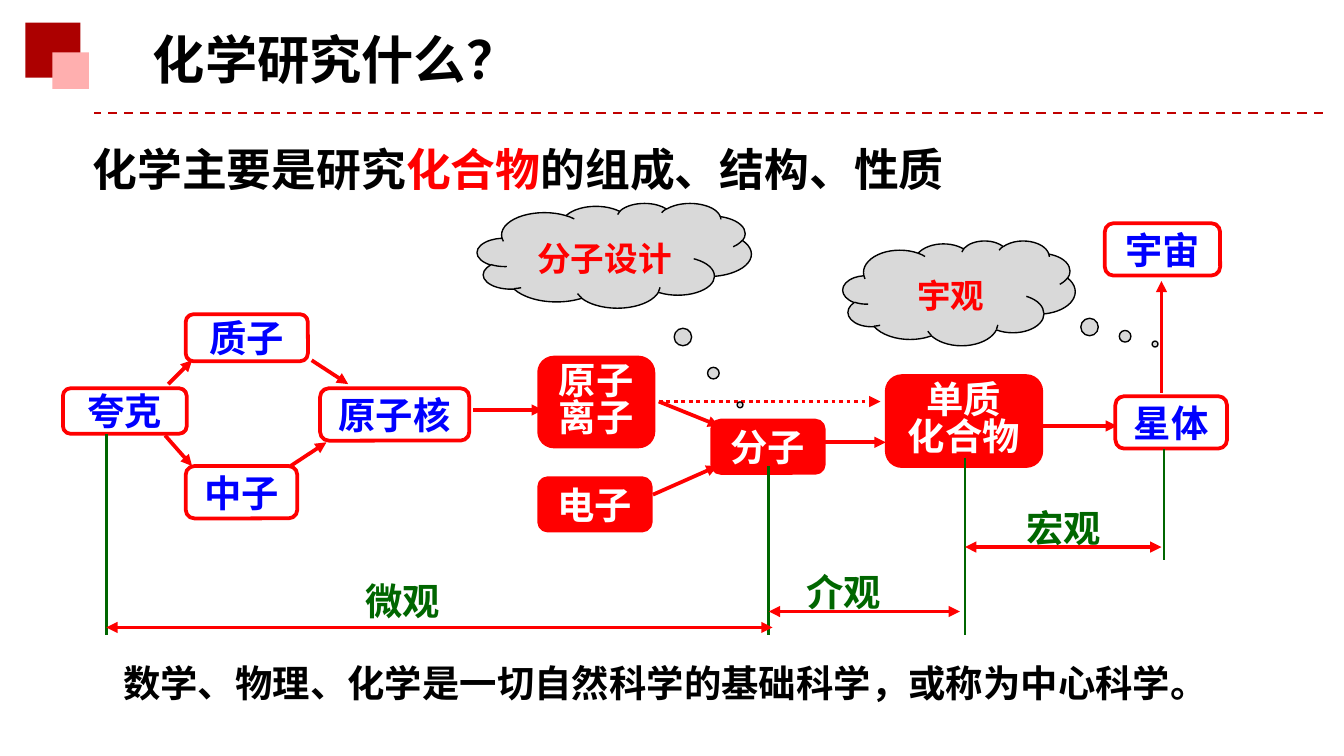
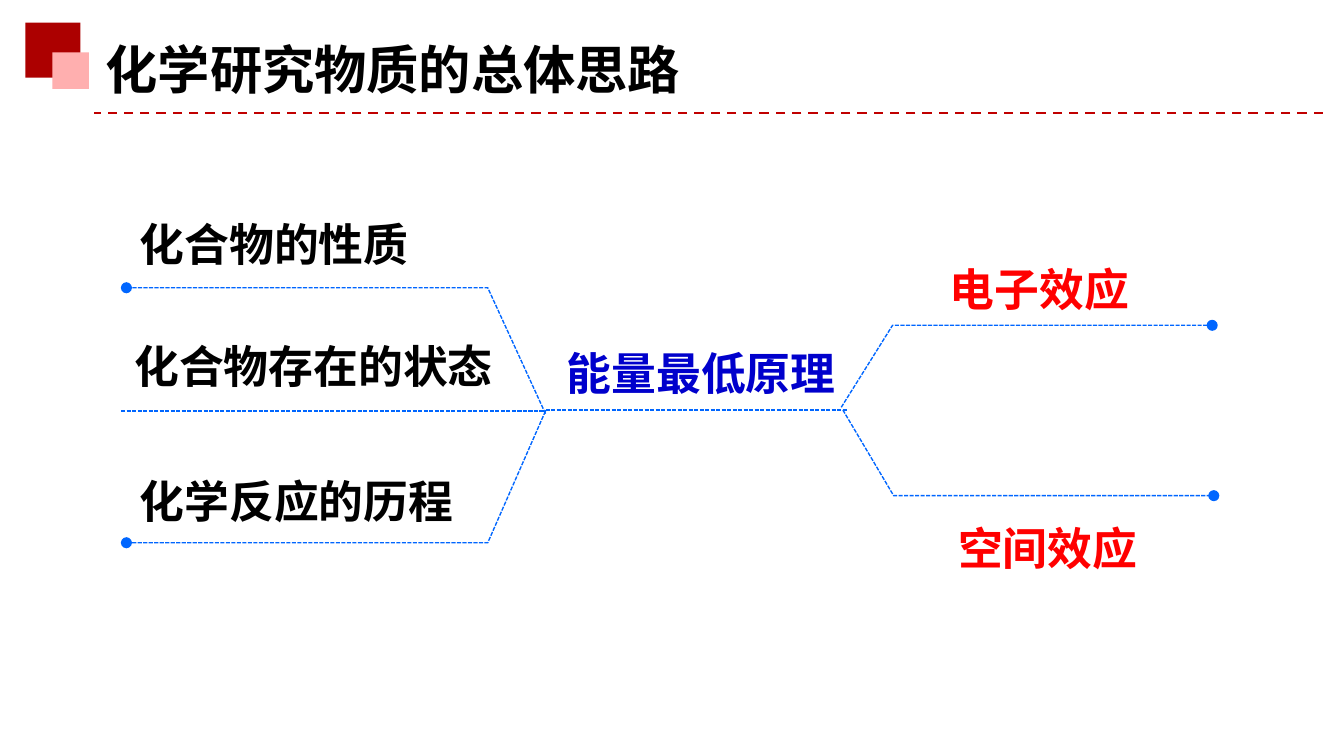
from dataclasses import dataclass

from lxml import etree
from pptx import Presentation
from pptx import util as u
from pptx.dml.color import RGBColor
from pptx.enum import dml, shapes, text
from pptx.oxml import ns

# Shared look
FONT = "Noto Sans CJK SC"
BLACK = RGBColor(0x00, 0x00, 0x00)
WHITE = RGBColor(0xFF, 0xFF, 0xFF)
RED = RGBColor(0xFF, 0x00, 0x00)
BLUE = RGBColor(0x00, 0x00, 0xFF)
DEEP_BLUE = RGBColor(0x00, 0x00, 0xCC)
LINE_BLUE = RGBColor(0x00, 0x66, 0xFF)
GREEN = RGBColor(0x00, 0x66, 0x00)
GRAY = RGBColor(0xD9, 0xD9, 0xD9)
DARK_RED = RGBColor(0xAC, 0x00, 0x00)
PINK = RGBColor(0xFF, 0xAF, 0xAF)
RULE_RED = RGBColor(0xC0, 0x00, 0x00)

SHAPE = shapes.MSO_SHAPE
DASH = dml.MSO_LINE
ALIGN = text.PP_ALIGN
ANCHOR = text.MSO_ANCHOR


@dataclass
class Box:
    """An area of the slide, in centimetres."""
    left: float
    top: float
    width: float
    height: float

    def inner(self, left, top, width, height):
        return Box(self.left + left, self.top + top, width, height)

    def point(self, x, y):
        return u.Cm(self.left + x), u.Cm(self.top + y)

    def lengths(self):
        return [u.Cm(value) for value in
                (self.left, self.top, self.width, self.height)]


def set_values(target, values):
    for name, value in values.items():
        setattr(target, name, value)


# Basic parts
def write(frame, paragraphs, size, anchor=ANCHOR.MIDDLE, align=ALIGN.LEFT,
          spacing=1.0):
    """Each paragraph is a list of (text, colour) runs."""
    set_values(frame, {"word_wrap": True, "vertical_anchor": anchor})
    for index, runs in enumerate(paragraphs):
        paragraph = frame.paragraphs[0] if index == 0 else frame.add_paragraph()
        set_values(paragraph, {"alignment": align, "line_spacing": spacing})
        for words, color in runs:
            run = paragraph.add_run()
            run.text = words
            set_values(run.font, {"name": FONT, "size": u.Pt(size), "bold": True})
            run.font.color.rgb = color
            etree.SubElement(run.font._element, ns.qn("a:ea"), typeface=FONT)


def add_label(slide, box, runs, size, **layout):
    frame = slide.shapes.add_textbox(*box.lengths()).text_frame
    frame.margin_right = 0
    write(frame, [runs], size, **layout)


def add_filled(slide, kind, box, fill, line_color=None, line_width=0):
    shape = slide.shapes.add_shape(kind, *box.lengths())
    shape.shadow.inherit = False
    shape.fill.solid()
    shape.fill.fore_color.rgb = fill
    if line_color is None:
        shape.line.fill.background()
    else:
        shape.line.color.rgb = line_color
        shape.line.width = u.Pt(line_width)
    return shape


def style_line(line, color, width, dash=None, head=None, tail=None):
    line.color.rgb = color
    set_values(line, {"width": u.Pt(width), "dash_style": dash})
    for tag, end in (("a:headEnd", head), ("a:tailEnd", tail)):
        if end:
            etree.SubElement(line._get_or_add_ln(), ns.qn(tag), type=end)


def add_line(slide, box, start, end, color, width, **style):
    connector = slide.shapes.add_connector(
        shapes.MSO_CONNECTOR.STRAIGHT, *box.point(*start), *box.point(*end))
    style_line(connector.line, color, width, **style)
    etree.SubElement(connector._element.spPr, ns.qn("a:effectLst"))


def add_branch(slide, box, points):
    """Bent dashed line from a hub to a dot."""
    start, *rest = [box.point(*point) for point in points]
    builder = slide.shapes.build_freeform(*start, scale=1.0)
    builder.add_line_segments(rest, close=False)
    shape = builder.convert_to_shape()
    shape.shadow.inherit = False
    shape.fill.background()
    style_line(shape.line, LINE_BLUE, 0.75, dash=DASH.SQUARE_DOT, tail="oval")


# Regions
def header(slide, box, title, title_left, title_top):
    add_filled(slide, SHAPE.RECTANGLE, box.inner(0.48, 0.43, 1.04, 1.04), DARK_RED)
    add_filled(slide, SHAPE.RECTANGLE, box.inner(0.99, 0.99, 0.69, 0.69), PINK)
    add_line(slide, box, (box.width - 0.4, 2.13), (1.78, 2.13), RULE_RED, 1.25,
             dash=DASH.DASH)
    add_label(slide, box.inner(title_left, title_top, 14, 1.45),
              [(title, BLACK)], 28)


def particle_chain(slide, box):
    # Particles: outlined ones are background, red ones are the focus
    outlined, solid = (WHITE, BLUE), (RED, WHITE)
    particles = [
        (["星体"], 20.08, 3.49, 2.11, 0.99, outlined),
        (["质子"], 2.51, 1.94, 2.31, 0.89, outlined),
        (["中子"], 2.51, 4.81, 2.11, 0.99, outlined),
        (["原子核"], 5.05, 3.34, 2.82, 0.99, outlined),
        (["原子", "离子"], 9.19, 2.76, 2.16, 1.68, solid),
        (["电子"], 9.19, 5.04, 2.11, 0.99, solid),
        (["分子"], 12.46, 3.95, 2.11, 0.99, solid),
        (["单质", "化合物"], 15.76, 3.11, 2.92, 1.7, solid),
        (["夸克"], 0.19, 3.34, 2.34, 0.86, outlined),
        (["宇宙"], 19.88, 0.22, 2.18, 0.99, outlined),
    ]
    for names, left, top, width, height, (fill, color) in particles:
        shape = add_filled(slide, SHAPE.ROUNDED_RECTANGLE,
                           box.inner(left, top, width, height), fill, RED, 2)
        write(shape.text_frame, [[(name, color)] for name in names], 20,
              align=ALIGN.CENTER, spacing=0.83 if len(names) > 1 else 1.0)

    # Arrows between particles
    arrows = [
        ((2.18, 3.26), (2.63, 2.81), None),
        ((2.12, 4.23), (2.63, 4.81), None),
        ((4.49, 4.81), (5.17, 4.36), None),
        ((4.89, 2.81), (5.58, 3.26), None),
        ((7.94, 3.75), (9.26, 3.75), None),
        ((11.45, 3.59), (12.59, 4.05), None),
        ((11.34, 5.35), (12.56, 4.81), None),
        ((14.44, 4.36), (15.74, 4.36), None),
        ((11.45, 3.59), (15.64, 3.59), DASH.ROUND_DOT),
        ((18.61, 4.05), (20.11, 4.05), None),
        ((20.95, 3.42), (20.95, 1.31), None),
    ]
    for start, end, dash in arrows:
        add_line(slide, box, start, end, RED, 2, dash=dash, tail="triangle")


def scale_spans(slide, box):
    # Limits of each scale
    for x, top, bottom in [(1.01, 4.2, 8.01), (13.53, 4.81, 8.01),
                           (17.24, 4.66, 8.01), (21, 4.48, 6.59)]:
        add_line(slide, box, (x, top), (x, bottom), GREEN, 1.5)
    # Double arrows with their names
    spans = [
        ("微观", 1.01, 13.6, 7.86, 5.65, 6.8),
        ("介观", 13.53, 17.14, 7.56, 13.99, 6.64),
        ("宏观", 17.24, 20.95, 6.34, 18.15, 5.42),
    ]
    for name, start, end, y, left, top in spans:
        add_line(slide, box, (start, y), (end, y), RED, 2,
                 head="triangle", tail="triangle")
        add_label(slide, box.inner(left, top, 2.87, 0.99), [(name, GREEN)], 20,
                  anchor=ANCHOR.TOP)


def thought_clouds(slide, box):
    clouds = [
        ("宇观", 6.93, 0.75, 4.39, (0.844, 0.487)),
        ("分子设计", 0.02, 0.04, 5.18, (0.459, 1.426)),
    ]
    for words, left, top, width, pointer in clouds:
        cloud = add_filled(slide, SHAPE.CLOUD_CALLOUT,
                           box.inner(left, top, width, 1.98), GRAY, BLACK, 0.75)
        for index, value in enumerate(pointer):
            cloud.adjustments[index] = value
        set_values(cloud.text_frame, {"margin_left": 0, "margin_right": 0})
        write(cloud.text_frame, [[(words, RED)]], 18, anchor=ANCHOR.TOP,
              align=ALIGN.CENTER, spacing=1.3)


def principle_map(slide, box):
    # Branches from the two hubs
    for branch in [
        [(8.31, 4.82), (7.22, 2.44), (0.39, 2.44)],
        [(8.31, 4.77), (7.22, 7.26), (0.39, 7.26)],
        [(13.9, 4.7), (14.87, 3.15), (20.91, 3.15)],
        [(13.93, 4.75), (14.89, 6.37), (20.94, 6.37)],
    ]:
        add_branch(slide, box, branch)
    # Straight lines through the middle
    for start, end, y in [(0.29, 8.31, 4.77), (8.31, 14, 4.75)]:
        add_line(slide, box, (start, y), (end, y), LINE_BLUE, 0.75,
                 dash=DASH.SQUARE_DOT)
    # Labels
    for words, left, top, width, color in [
        ("化合物的性质", 0.39, 0.81, 5.64, BLACK),
        ("化合物存在的状态", 0.29, 3.1, 7.37, BLACK),
        ("化学反应的历程", 0.39, 5.66, 7.9, BLACK),
        ("能量最低原理", 8.46, 3.25, 5.64, DEEP_BLUE),
        ("空间效应", 15.86, 6.55, 4.6, RED),
        ("电子效应", 15.7, 1.65, 4.6, RED),
    ]:
        add_label(slide, box.inner(left, top, width, 1.4), [(words, color)], 24,
                  spacing=1.2)


# Slides
def research_slide(slide, box):
    header(slide, box, "化学研究什么？", 2.64, 0.38)
    add_label(slide, box.inner(1.5, 2.54, 22, 1.3),
              [("化学主要是研究", BLACK), ("化合物", RED),
               ("的组成、结构、性质", BLACK)], 24)
    diagram = box.inner(1, 4, 23, 8.1)
    particle_chain(slide, diagram)
    scale_spans(slide, diagram)
    thought_clouds(slide, box.inner(9, 3.8, 11.4, 2.8))
    add_label(slide, box.inner(2.08, 12.34, 21.21, 1.12),
              [("数学、物理、化学是一切自然科学的基础科学，或称为中心科学。", BLACK)], 20)


def approach_slide(slide, box):
    header(slide, box, "化学研究物质的总体思路", 1.75, 0.58)
    principle_map(slide, box.inner(2, 3, 21, 8))


def main():
    presentation = Presentation()
    page = Box(0, 0, 25.4, 14.29)
    set_values(presentation, {"slide_width": u.Cm(page.width),
                              "slide_height": u.Cm(page.height)})
    for build in (research_slide, approach_slide):
        build(presentation.slides.add_slide(presentation.slide_layouts[6]), page)
    presentation.save("out.pptx")


if __name__ == "__main__":
    main()
